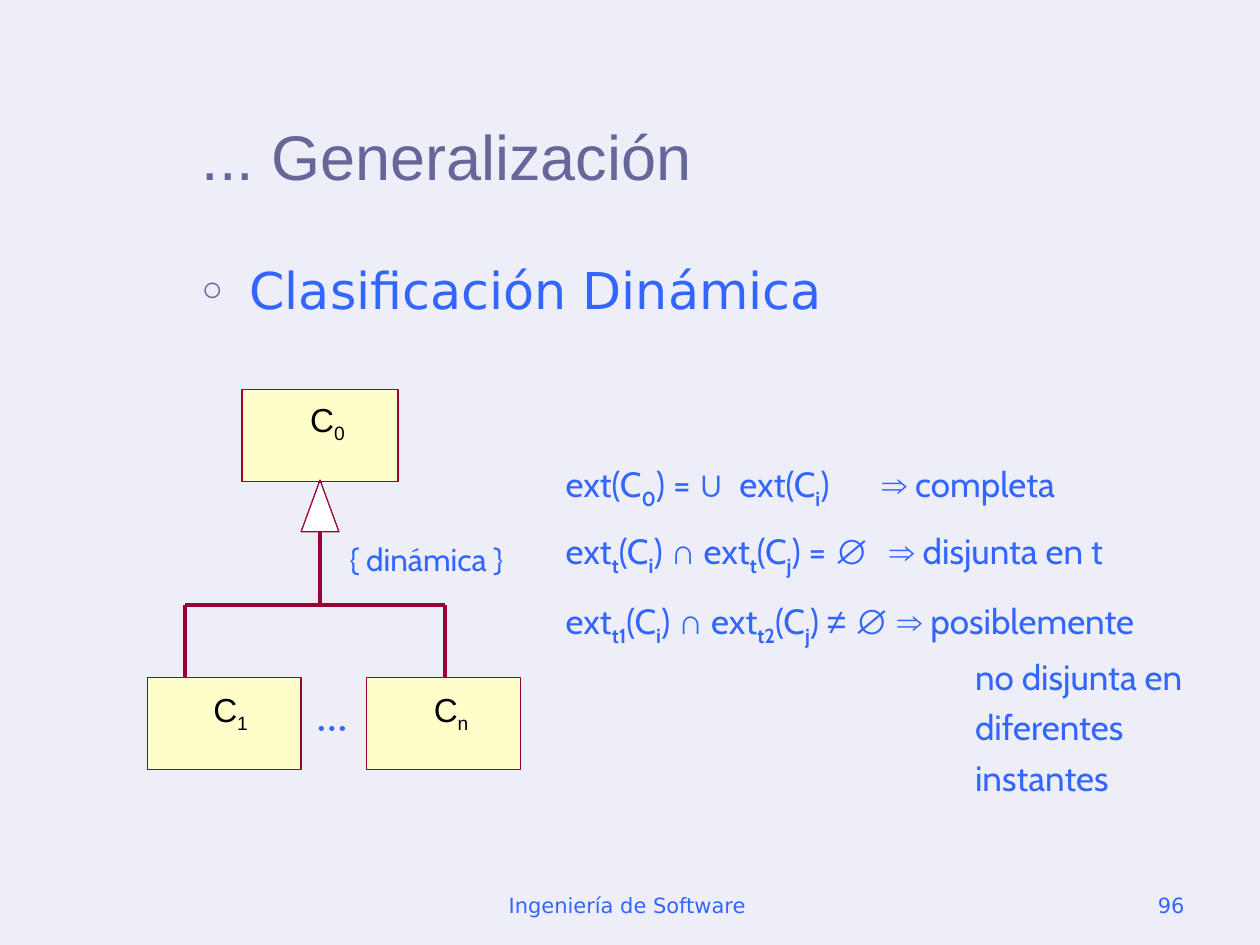
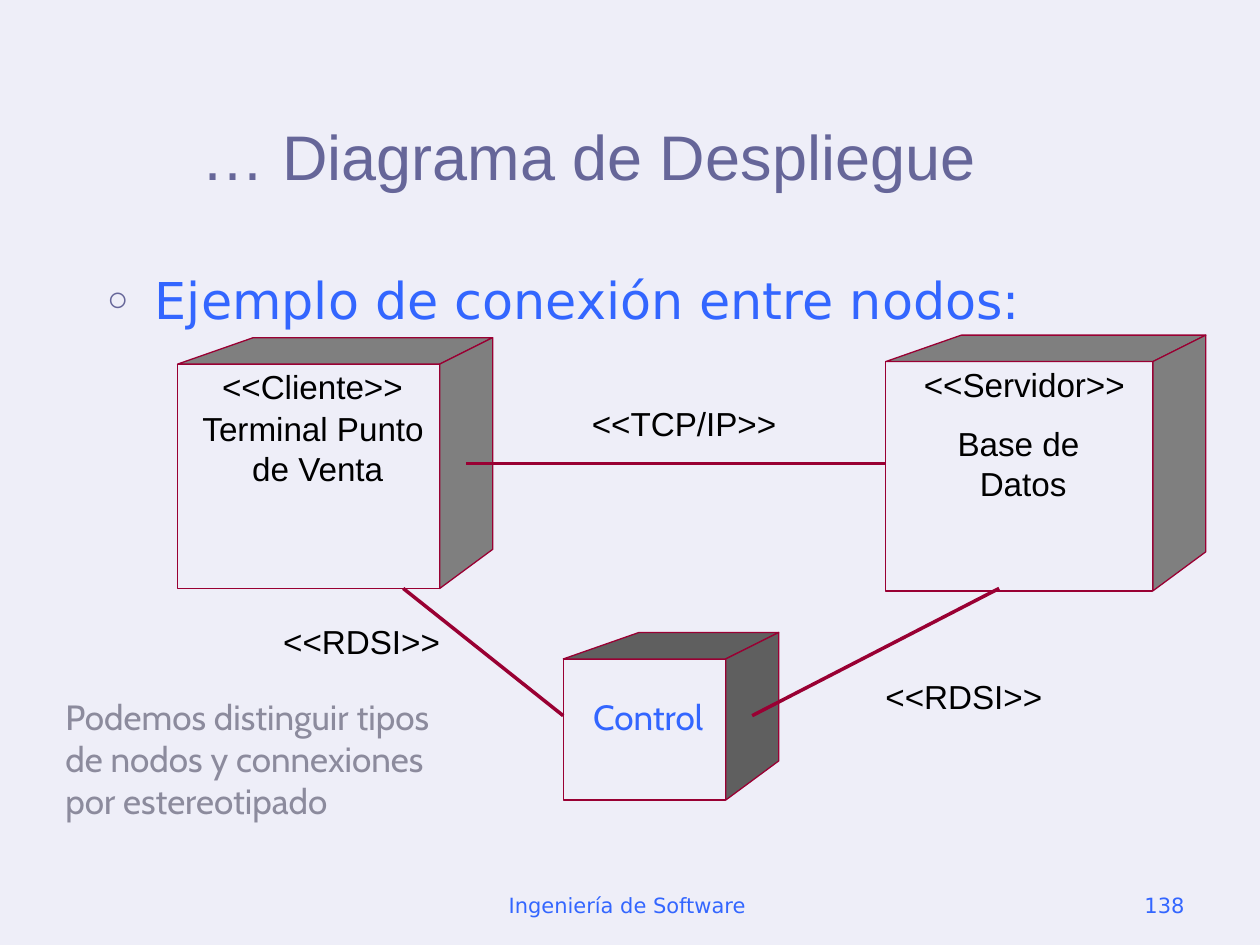
from dataclasses import dataclass
from itertools import groupby
from typing import Any, NamedTuple

from lxml import etree
from pptx import Presentation
from pptx.dml.color import RGBColor
from pptx.enum.dml import MSO_LINE
from pptx.enum.shapes import MSO_CONNECTOR, MSO_SHAPE
from pptx.enum.text import MSO_ANCHOR, MSO_AUTO_SIZE, PP_ALIGN
from pptx.oxml.ns import qn
from pptx.util import Pt

PX = 9144  # EMU per px, 100 px to the inch
LEFT, CENTER, RIGHT = PP_ALIGN.LEFT, PP_ALIGN.CENTER, PP_ALIGN.RIGHT
TOP, BOTTOM = MSO_ANCHOR.TOP, MSO_ANCHOR.BOTTOM
NO_AUTOFIT = MSO_AUTO_SIZE.NONE
RECT, STRAIGHT = MSO_SHAPE.RECTANGLE, MSO_CONNECTOR.STRAIGHT
DOTS = MSO_LINE.ROUND_DOT
BOTTOM_SITE = 2
SYMBOLS = "∪∩∅⇒≠"


class Style(NamedTuple):
    font: str
    size: int
    color: str
    bold_sub: bool = False


@dataclass(frozen=True)
class Theme:
    background: str = "EEEEF8"
    accent: str = "3366FF"
    bullet: str = "666699"
    outline: str = "990033"
    class_fill: str = "FFFFCC"
    arrow_fill: str = "FFFFFF"
    node_shade: str = "7F7F7F"
    control_shade: str = "5F5F5F"
    symbol_font: str = "Arial"
    title: Style = Style("Arial", 36, "666699")
    body: Style = Style("DejaVu Sans", 29, "3366FF")
    footer: Style = Style("DejaVu Sans", 12, "3366FF")
    label: Style = Style("Arial", 19, "000000")
    formula: Style = Style("Cabin", 20, "3366FF", True)
    constraint: Style = Style("Cabin", 18, "3366FF")
    note: Style = Style("Cabin", 20, "8C8B9D")


THEME = Theme()


class Box(NamedTuple):
    x: int
    y: int
    w: int
    h: int


class Point(NamedTuple):
    x: int
    y: int


class Para(NamedTuple):
    text: str
    spacing: float = 1.0
    before: float = 0
    indent: int = 0
    tabs: tuple[int, ...] = ()


@dataclass(frozen=True)
class Label:
    box: Box
    paras: tuple[Para, ...]
    style: Style = THEME.label
    align: Any = CENTER
    anchor: Any = TOP
    padded: bool = False
    wrap: bool = False


@dataclass(frozen=True)
class Node:
    front: Box
    shade: str


@dataclass(frozen=True)
class Link:
    start: Point
    end: Point
    color: str = THEME.outline
    width: int = 0


def label(x: int, y: int, w: int, h: int, *lines: str, **options: Any) -> Label:
    return Label(Box(x, y, w, h), tuple(Para(t) for t in lines), **options)


def apply(obj: Any, formats: dict[str, Any]) -> None:
    for name, value in formats.items():
        setattr(obj, name, value)


def rgb(color: str) -> RGBColor:
    return RGBColor.from_string(color)


def emu(*lengths: int) -> list[int]:
    return [n * PX for n in lengths]


def add_run(p: Any, text: str, style: Style, sub: bool = False, font: str = "") -> None:
    r = p.add_run()
    r.text = text
    apply(r.font, {"name": font or style.font, "size": Pt(style.size),
                   "bold": sub and style.bold_sub})
    r.font.color.rgb = rgb(style.color)
    if sub:
        r._r.get_or_add_rPr().set("baseline", "-25000")


def add_runs(p: Any, text: str, style: Style) -> None:
    """Parts between bars are subscripts; mathematical symbols get their own font."""
    for i, part in enumerate(text.split("|")):
        for is_symbol, chars in groupby(part, lambda c: c in SYMBOLS):
            font = THEME.symbol_font if is_symbol else ""
            add_run(p, "".join(chars), style, bool(i % 2), font)


def add_tabs(p: Any, tabs: tuple[int, ...]) -> None:
    tab_list = etree.SubElement(p._p.get_or_add_pPr(), qn("a:tabLst"))
    for pos in tabs:
        etree.SubElement(tab_list, qn("a:tab"), pos=str(pos * PX), algn="l")


def add_bullet(p: Any) -> None:
    pPr = p._p.get_or_add_pPr()
    apply_indent = {"marL": 38 * PX, "indent": -38 * PX}
    for name, value in apply_indent.items():
        pPr.set(name, str(value))
    color = etree.SubElement(pPr, qn("a:buClr"))
    etree.SubElement(color, qn("a:srgbClr"), val=THEME.bullet)
    etree.SubElement(pPr, qn("a:buSzPct"), val="70000")
    etree.SubElement(pPr, qn("a:buChar"), char="○")


def add_label(s: Any, item: Label) -> None:
    tf = s.shapes.add_textbox(*emu(*item.box)).text_frame
    side, edge = emu(10, 5) if item.padded else (0, 0)
    apply(tf, {"word_wrap": item.wrap, "auto_size": NO_AUTOFIT,
               "vertical_anchor": item.anchor,
               "margin_left": side, "margin_right": side,
               "margin_top": edge, "margin_bottom": edge})
    for i, para in enumerate(item.paras):
        p = tf.add_paragraph() if i else tf.paragraphs[0]
        if para.tabs:
            add_tabs(p, para.tabs)
        if para.indent:
            p._p.get_or_add_pPr().set("marL", str(para.indent * PX))
        apply(p, {"alignment": item.align, "line_spacing": para.spacing,
                  "space_before": Pt(para.before)})
        add_runs(p, para.text, item.style)


def outline(shape: Any, fill: str = "") -> None:
    shape.shadow.inherit = False
    if fill:
        shape.fill.solid()
        shape.fill.fore_color.rgb = rgb(fill)
    else:
        shape.fill.background()
    shape.line.color.rgb = rgb(THEME.outline)
    shape.line.width = 0


def add_rect(s: Any, box: Box, fill: str = "") -> Any:
    shape = s.shapes.add_shape(RECT, *emu(*box))
    outline(shape, fill)
    return shape


def add_polygon(s: Any, points: list[Point], fill: str) -> None:
    builder = s.shapes.build_freeform(*points[0], scale=float(PX))
    builder.add_line_segments(points[1:], close=True)
    outline(builder.convert_to_shape(), fill)


def add_node(s: Any, node: Node) -> None:
    """Draw an open front face with a shaded top and right side."""
    x, y, w, h = node.front
    right, bottom = x + w, y + h
    corner, back = Point(right, y), Point(right + 42, y - 21)
    add_rect(s, node.front)
    add_polygon(s, [Point(x, y), Point(x + 60, back.y), back, corner], node.shade)
    add_polygon(s, [corner, back, Point(back.x, bottom - 31), Point(right, bottom)],
                node.shade)


def add_link(s: Any, link: Link) -> Any:
    line = s.shapes.add_connector(STRAIGHT, *emu(*link.start, *link.end))
    line.line.color.rgb = rgb(link.color)
    line.line.width = Pt(link.width)
    etree.SubElement(line._element.spPr, qn("a:effectLst"))
    return line


def fill_placeholder(ph: Any, box: Box, text: str, style: Style, anchor: Any) -> Any:
    apply(ph, dict(zip(("left", "top", "width", "height"), emu(*box))))
    tf = ph.text_frame
    apply(tf, {"word_wrap": True, "auto_size": NO_AUTOFIT, "vertical_anchor": anchor})
    p = tf.paragraphs[0]
    apply(p, {"alignment": LEFT, "space_before": Pt(0)})
    add_run(p, text, style)
    return p


def add_slide(prs: Any, title: str, bullet: str, body: Box, number: str) -> Any:
    s = prs.slides.add_slide(prs.slide_layouts[1])
    fill_placeholder(s.shapes.title, Box(150, 33, 800, 125), title, THEME.title, BOTTOM)
    add_bullet(fill_placeholder(s.placeholders[1], body, bullet, THEME.body, TOP))
    footer = {"style": THEME.footer, "anchor": BOTTOM, "padded": True, "wrap": True}
    add_label(s, label(342, 683, 317, 50, "Ingeniería de Software ", **footer))
    add_label(s, label(717, 683, 233, 50, number, align=RIGHT, **footer))
    return s


def build_generalization(prs: Any) -> None:
    s = add_slide(prs, "... Generalización", "Clasificación Dinámica",
                  Box(150, 200, 800, 450), "96")
    add_label(s, Label(Box(439, 347, 561, 292), (
        Para("ext(C|0|) = ∪\text(C|i|)\t⇒ completa", 1.4, tabs=(138, 251)),
        Para("ext|t|(C|i|) ∩ ext|t|(C|j|) = ∅\t⇒ disjunta en t", 1.4, tabs=(257,)),
        Para("ext|t1|(C|i|) ∩ ext|t2|(C|j|) ≠ ∅ ⇒ posiblemente", 1.2, before=7.2),
        *(Para(t, 1.2, indent=325) for t in ("no disjunta en", "diferentes", "instantes")),
    ), THEME.formula, LEFT, padded=True, wrap=True))

    parent, *children = [
        (Box(192, 309, 124, 73), "C|0|", Point(246, 317)),
        (Box(117, 538, 122, 73), "C|1|", Point(169, 547)),
        (Box(291, 538, 122, 73), "C|n|", Point(344, 547)),
    ]
    parent_rect = add_rect(s, parent[0], THEME.class_fill)
    for box, _, _ in children:
        add_rect(s, box, THEME.class_fill)
    for _, name, at in (parent, *children):
        add_label(s, label(*at, 28, 36, name))

    branch_y, branch_xs = 480, (147, 353)
    stem = add_link(s, Link(Point(254, branch_y), Point(254, 382)))
    stem.end_connect(parent_rect, BOTTOM_SITE)
    add_link(s, Link(*(Point(x, branch_y) for x in branch_xs)))
    add_polygon(s, [Point(254, 381), Point(269, 422), Point(239, 422)], THEME.arrow_fill)
    for x in branch_xs:
        add_link(s, Link(Point(x, 538), Point(x, branch_y)))
    ellipsis = add_link(s, Link(Point(255, 578), Point(274, 578), THEME.accent, 3))
    ellipsis.line.dash_style = DOTS
    ellipsis.line._ln.set("cap", "rnd")
    add_label(s, label(259, 424, 159, 40, "{ dinámica }",
                       style=THEME.constraint, padded=True))


def build_deployment(prs: Any) -> None:
    s = add_slide(prs, "… Diagrama de Despliegue", "Ejemplo de conexión entre nodos:",
                  Box(75, 208, 850, 477), "138")
    for node in (Node(Box(141, 289, 208, 178), THEME.node_shade),
                 Node(Box(703, 287, 212, 182), THEME.node_shade),
                 Node(Box(447, 523, 129, 112), THEME.control_shade)):
        add_node(s, node)
    for link in (Link(Point(320, 467), Point(447, 568)),
                 Link(Point(597, 568), Point(793, 467)),
                 Link(Point(370, 368), Point(703, 368))):
        add_link(s, link)
    for item in (
        label(159, 324, 179, 63, "Terminal Punto", " de Venta"),
        label(176, 291, 144, 32, "<<Cliente>>"),
        label(760, 336, 104, 63, "Base de ", "Datos"),
        label(733, 289, 160, 32, "<<Servidor>>"),
        label(466, 552, 97, 33, "Control", style=THEME.formula),
        label(470, 320, 146, 32, "<<TCP/IP>>"),
        label(225, 493, 124, 32, "<<RDSI>>"),
        label(703, 537, 124, 32, "<<RDSI>>"),
        label(42, 547, 338, 144,
              "Podemos distinguir tipos de nodos y connexiones por estereotipado",
              style=THEME.note, align=LEFT, padded=True, wrap=True),
    ):
        add_label(s, item)


def main() -> None:
    prs = Presentation()
    prs.slide_width, prs.slide_height = emu(1000, 750)
    fill = prs.slide_master.background.fill
    fill.solid()
    fill.fore_color.rgb = rgb(THEME.background)
    build_generalization(prs)
    build_deployment(prs)
    prs.save("out.pptx")


if __name__ == "__main__":
    main()
